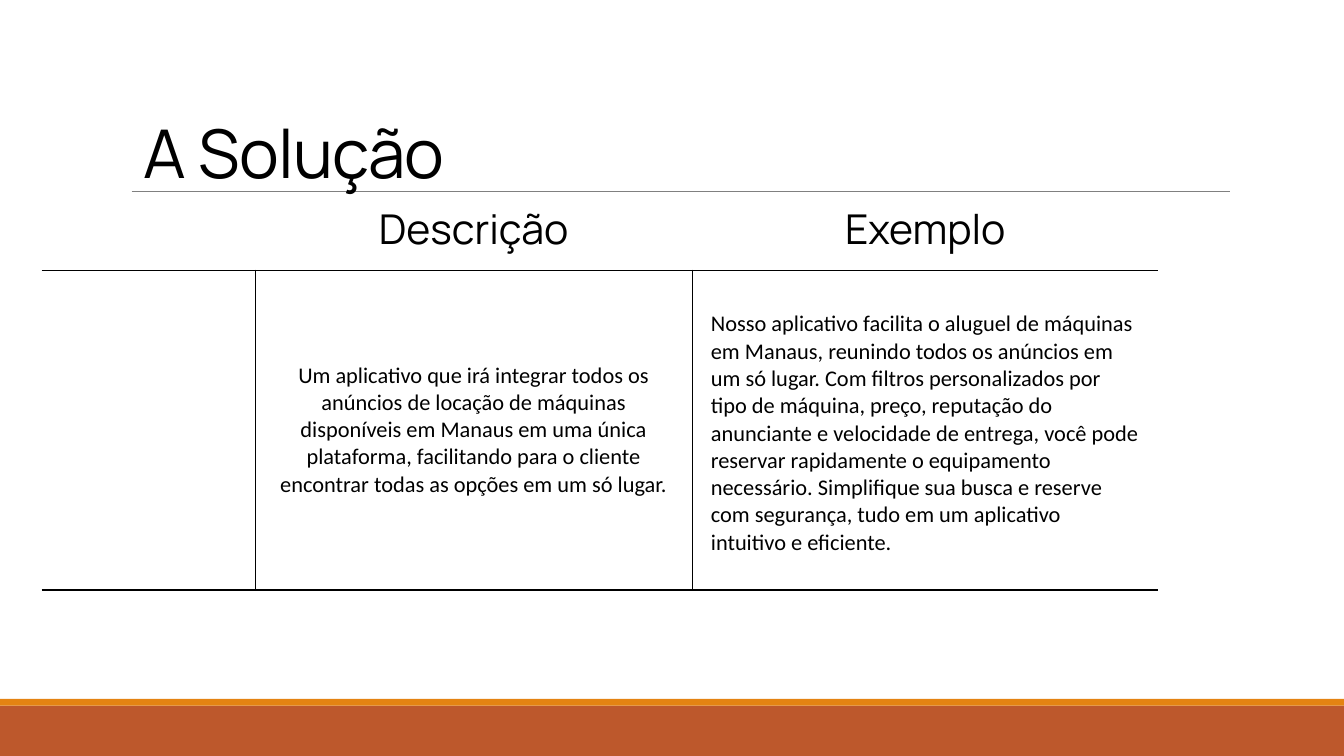
from lxml.etree import SubElement
from pptx import Presentation
from pptx.dml.color import RGBColor
from pptx.enum.shapes import MSO_CONNECTOR, MSO_SHAPE
from pptx.enum.text import MSO_ANCHOR, MSO_AUTO_SIZE, PP_ALIGN
from pptx.oxml import parse_xml
from pptx.oxml.ns import nsdecls, qn
from pptx.util import Inches, Pt

COLUMNS, ROWS = 100, 56.25  # square grid, ten units to the inch


def grid(units):
    return Inches(units / 10)


def color(value):
    return RGBColor.from_string(value)


def write(frame, text, font, size, ink="000000", align=PP_ALIGN.LEFT,
          anchor=MSO_ANCHOR.MIDDLE, spacing=None):
    frame.word_wrap = True
    frame.vertical_anchor = anchor
    para = frame.paragraphs[0]
    para.alignment = align
    span = para.add_run()
    span.text = text
    span.font.name = font
    span.font.size = Pt(size)
    span.font.color.rgb = color(ink)
    if spacing is not None:
        span.font._element.set("spc", str(round(spacing * 100)))


class SlideBuilder:
    heading_font = "Manrope"
    body_font = "Calibri"
    border_width = 0.75

    def __init__(self, deck):
        self.page = deck.slides.add_slide(deck.slide_layouts[5])

    def band(self, top, height, fill):
        box = self.page.shapes.add_shape(
            MSO_SHAPE.RECTANGLE, 0, grid(top), grid(COLUMNS), grid(height))
        box.shadow.inherit = False
        box.fill.solid()
        box.fill.fore_color.rgb = color(fill)
        box.line.fill.background()

    def rule(self, left, right, y, ink, width):
        line = self.page.shapes.add_connector(
            MSO_CONNECTOR.STRAIGHT, grid(left), grid(y), grid(right), grid(y))
        line.line.color.rgb = color(ink)
        line.line.width = Pt(width)
        SubElement(line._element.spPr, qn("a:effectLst"))

    def title(self, text, left, top, width, height):
        box = self.page.shapes.title
        box.left, box.top, box.width, box.height = map(
            grid, (left, top, width, height))
        frame = box.text_frame
        frame.auto_size = MSO_AUTO_SIZE.NONE
        frame.margin_left = frame.margin_right = grid(1)
        frame.margin_top, frame.margin_bottom = grid(0.7), 0
        write(frame, text, self.heading_font, 36, anchor=MSO_ANCHOR.TOP,
              spacing=-0.4)
        # Letters stand in front of the rule
        self.page.shapes._spTree.append(box._element)

    def table(self, left, top, widths, heights):
        frame = self.page.shapes.add_table(
            len(heights), len(widths), grid(left), grid(top),
            grid(sum(widths)), grid(sum(heights)))
        table = frame.table
        table.first_row = table.horz_banding = False
        for column, width in zip(table.columns, widths):
            column.width = grid(width)
        for row, height in zip(table.rows, heights):
            row.height = grid(height)
        return table

    def cell(self, cell, text, sides, font, size, align, inset=1, top=1):
        cell.fill.background()
        cell.margin_left = cell.margin_right = grid(inset)
        cell.margin_top, cell.margin_bottom = grid(top), grid(1)
        cell.vertical_anchor = MSO_ANCHOR.MIDDLE
        if text:
            frame = cell.text_frame
            write(frame, text, font, size, align=align)
        self.borders(cell, sides)

    def borders(self, cell, sides):
        properties = cell._tc.get_or_add_tcPr()
        for place, side in enumerate("LRTB"):
            paint = ('<a:solidFill><a:srgbClr val="000000"/></a:solidFill>'
                     if side in sides else "<a:noFill/>")
            properties.insert(place, parse_xml(
                f'<a:ln{side} {nsdecls("a")} w="{Pt(self.border_width)}">'
                f"{paint}</a:ln{side}>"))


def main():
    deck = Presentation()
    deck.slide_width, deck.slide_height = grid(COLUMNS), grid(ROWS)
    slide = SlideBuilder(deck)

    # Footer bands and title rule
    slide.band(52.5, ROWS - 52.5, "BD582C")
    slide.band(52, 0.5, "E48312")
    slide.rule(9.8, 91.5, 14.25, "808080", 0.5)

    # Title
    slide.title("A Solução", 9.7, 7.6, 84.4, 6.3)

    # Solution table
    table = slide.table(3.1, 13.9, [15.9, 32.5, 34.7], [6.2, 23.8])
    headings = ["", "Descrição", "Exemplo"]
    for column, heading in enumerate(headings):
        slide.cell(table.cell(0, column), heading, "B", slide.heading_font, 22,
                   PP_ALIGN.CENTER)
    details = [
        ("", "RTB", PP_ALIGN.LEFT, 1),
        ("Um aplicativo que irá integrar todos os anúncios de locação de "
         "máquinas disponíveis em Manaus em uma única plataforma, facilitando "
         "para o cliente encontrar todas as opções em um só lugar.",
         "LRTB", PP_ALIGN.CENTER, 1),
        ("Nosso aplicativo facilita o aluguel de máquinas em Manaus, reunindo "
         "todos os anúncios em um só lugar. Com filtros personalizados por "
         "tipo de máquina, preço, reputação do anunciante e velocidade de "
         "entrega, você pode reservar rapidamente o equipamento necessário. "
         "Simplifique sua busca e reserve com segurança, tudo em um "
         "aplicativo intuitivo e eficiente.", "LTB", PP_ALIGN.LEFT, 1.5),
    ]
    for column, (text, sides, align, top) in enumerate(details):
        slide.cell(table.cell(1, column), text, sides, slide.body_font, 12,
                   align, inset=1.4, top=top)

    deck.save("out.pptx")


if __name__ == "__main__":
    main()
